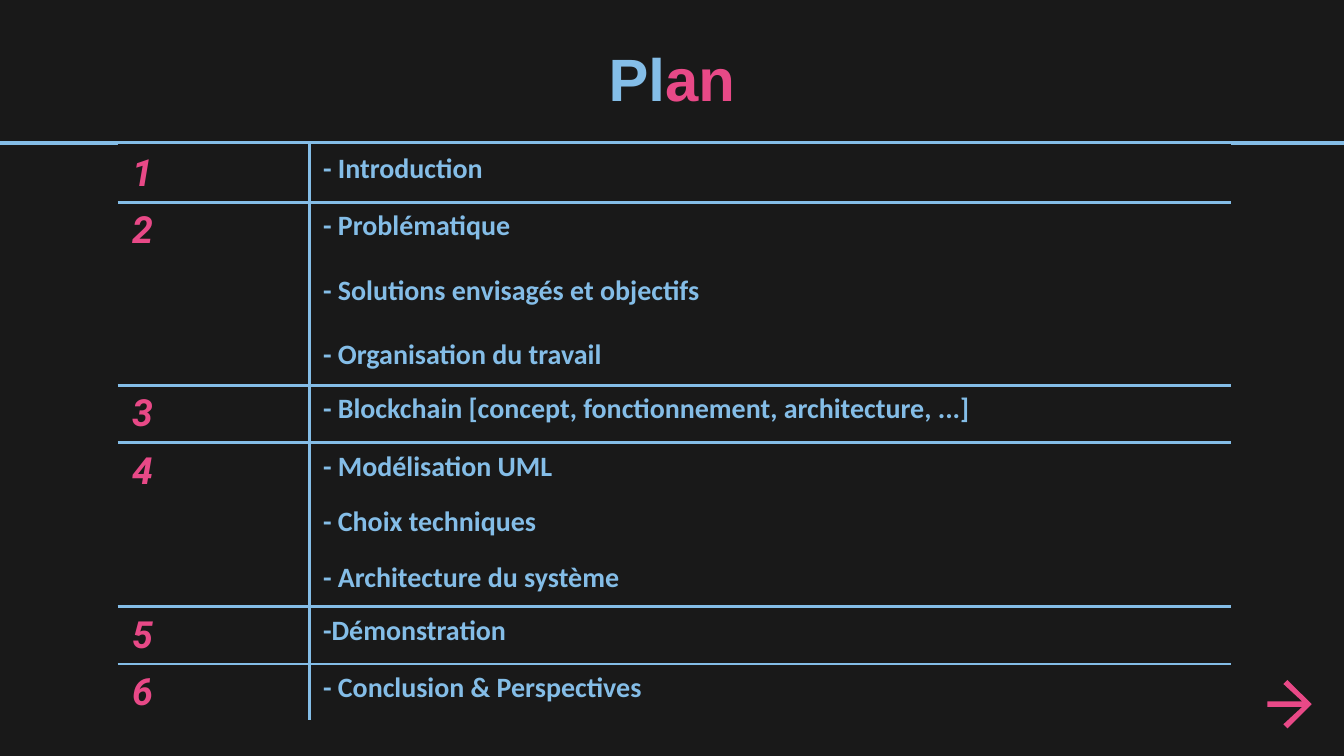
from lxml.etree import SubElement
from pptx import Presentation
from pptx.dml.color import RGBColor
from pptx.enum.shapes import MSO_CONNECTOR as Connector
from pptx.enum.text import MSO_ANCHOR as Anchor, MSO_AUTO_SIZE as AutoSize, PP_ALIGN as Align
from pptx.oxml.ns import qn
from pptx.util import Inches, Pt

BACKGROUND, BLUE, PINK = "191919", "84BDE7", "E84987"
COLUMNS, ROWS = 100, 56.25
AGENDA = [
    (4, 0, 0, ["- Introduction"]),
    (13.6, 0, 16, ["- Problématique", "- Solutions envisagés et objectifs",
                   "- Organisation du travail"]),
    (4, 0, 0, ["- Blockchain [concept, fonctionnement, architecture, ...]"]),
    (12.2, 5.7, 5.7, ["- Modélisation UML", "- Choix techniques",
                      "- Architecture du système"]),
    (4, 0, 0, ["-Démonstration"]),
    (4.1, 0, 0, ["- Conclusion & Perspectives"]),
]


def color(hex_code):
    """Turn a hex string into a colour."""
    return RGBColor.from_string(hex_code)


def grid(*steps):
    """Turn grid steps of a tenth of an inch into lengths."""
    return [Inches(step / 10) for step in steps]


class Deck:
    """Holds the style and the current slide."""

    def __init__(self):
        """Open a presentation with one title-only slide."""
        self.deck = Presentation()
        self.deck.slide_width, self.deck.slide_height = grid(COLUMNS, ROWS)
        self.slide = self.deck.slides.add_slide(self.deck.slide_layouts[5])
        self.slide.background.fill.solid()
        self.slide.background.fill.fore_color.rgb = color(BACKGROUND)

    def style(self, font, name, size, hex_code=None, italic=False):
        """Format a bold font."""
        font.name, font.size, font.bold, font.italic = name, Pt(size), True, italic
        if hex_code:
            font.color.rgb = color(hex_code)

    def title(self, parts, left, top, width, height):
        """Place the title with one colour for each part."""
        title = self.slide.shapes.title
        title.left, title.top, title.width, title.height = grid(left, top, width, height)
        frame = title.text_frame
        frame.auto_size, frame.vertical_anchor = AutoSize.NONE, Anchor.BOTTOM
        frame.margin_left = frame.margin_right = Inches(0.1)
        frame.margin_top = frame.margin_bottom = Inches(0.1)
        heading = frame.paragraphs[0]
        heading.alignment = Align.CENTER
        self.style(heading.font, "Arial", 32)
        for text, hex_code in parts:
            part = heading.add_run()
            part.text = text
            part.font.color.rgb = color(hex_code)

    def rule(self, row):
        """Draw a line across the slide."""
        rule = self.slide.shapes.add_connector(Connector.STRAIGHT, *grid(0, row, COLUMNS, row))
        rule.line.color.rgb, rule.line.width = color(BLUE), Pt(2.25)
        SubElement(rule._element.spPr, qn("a:effectLst"))

    def borders(self, cell, edges):
        """Line a cell, hiding the sides on the edge of the table."""
        properties = cell._tc.get_or_add_tcPr()
        for side, is_edge in zip("LRTB", edges):
            border = SubElement(properties, qn(f"a:ln{side}"), w=str(Pt(1.47)))
            fill = SubElement(border, qn("a:solidFill"))
            SubElement(fill, qn("a:srgbClr"), val=BACKGROUND if is_edge else BLUE)

    def fill_cell(self, cell, lines, font, before=0, after=0):
        """Write one paragraph for each line."""
        cell.fill.background()
        cell.text = "\n".join(lines)
        for index, paragraph in enumerate(cell.text_frame.paragraphs):
            paragraph.space_before = Pt(before if index else 0)
            paragraph.space_after = Pt(after)
            self.style(paragraph.font, *font)

    def agenda(self, sections, left, top, widths):
        """Build the numbered table of sections."""
        heights = [section[0] for section in sections]
        table = self.slide.shapes.add_table(
            len(sections), 2, *grid(left, top, sum(widths), sum(heights))).table
        table.first_row = table.horz_banding = False
        for column, width in zip(table.columns, grid(*widths)):
            column.width = width
        last = len(sections) - 1
        for index, (height, before, after, topics) in enumerate(sections):
            table.rows[index].height = grid(height)[0]
            number, content = table.cell(index, 0), table.cell(index, 1)
            self.borders(number, (True, False, index == 0, index == last))
            self.borders(content, (False, True, index == 0, index == last))
            self.fill_cell(number, [str(index + 1)], ("Roboto", 20, PINK, True))
            self.fill_cell(content, topics, ("Calibri", 15, BLUE), before, after)

    def arrow(self, tip, middle):
        """Draw the arrow that points to the next slide."""
        upper = [(-1.8, -1.8), (-2.1, -1.5), (-0.7, -0.2), (-3.3, -0.2)]
        lower = [(x, -y) for x, y in reversed(upper)]
        start, *rest = [grid(tip + x, middle + y) for x, y in [(0, 0), *upper, *lower]]
        builder = self.slide.shapes.build_freeform(*start)
        builder.add_line_segments(rest, close=True)
        arrow = builder.convert_to_shape()
        arrow.shadow.inherit = False
        arrow.fill.solid()
        arrow.fill.fore_color.rgb = color(PINK)
        arrow.line.fill.background()


def main():
    """Build the plan slide."""
    plan = Deck()
    plan.rule(10.63)
    plan.title([("Pl", BLUE), ("an", PINK)], 7.88, 3.24, 84.2, 6.2)
    plan.agenda(AGENDA, 8.84, 10.8, (14.2, 68.5))
    plan.arrow(97.6, 52.4)
    plan.deck.save("out.pptx")


if __name__ == "__main__":
    main()
